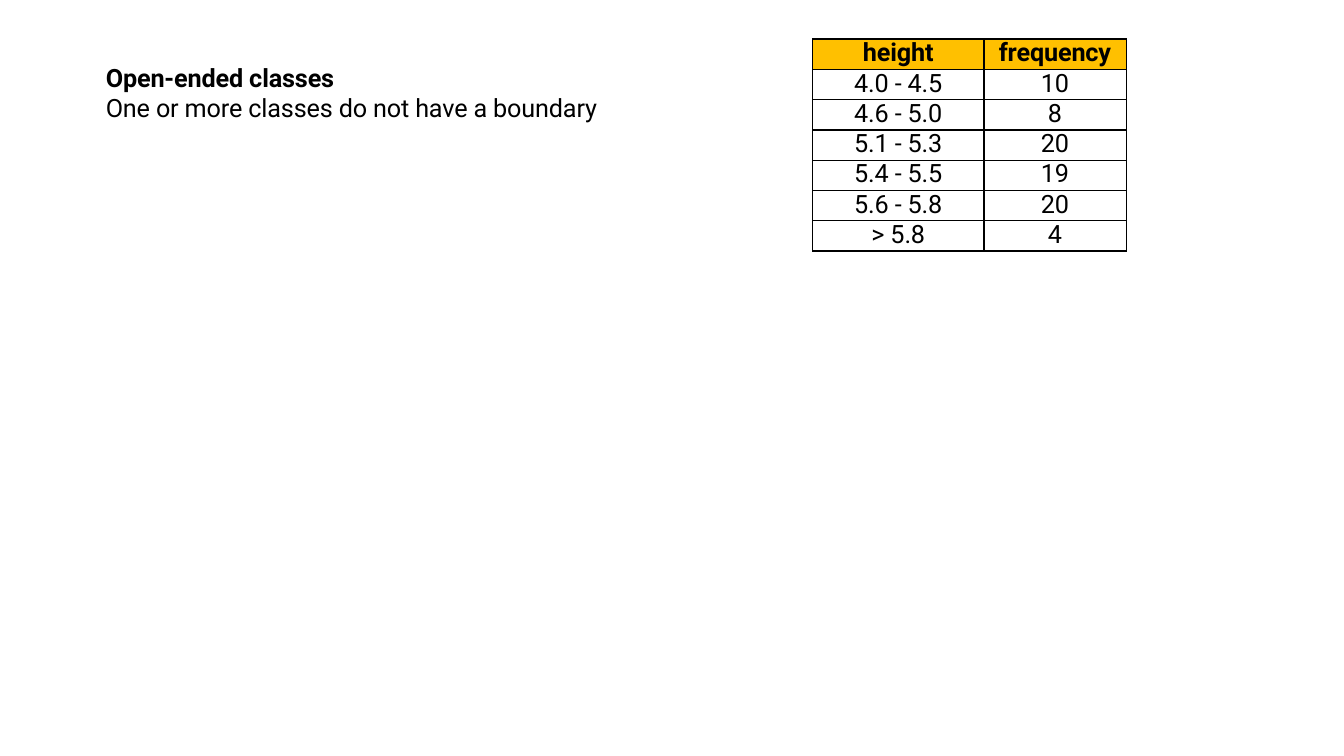
from lxml import etree
from pptx import Presentation
from pptx.dml.color import RGBColor
from pptx.enum.text import MSO_ANCHOR, MSO_AUTO_SIZE, PP_ALIGN
from pptx.oxml.ns import qn
from pptx.util import Inches, Pt

LEFT, CENTER = PP_ALIGN.LEFT, PP_ALIGN.CENTER
TOP, NO_FIT = MSO_ANCHOR.TOP, MSO_AUTO_SIZE.NONE
TITLE_ONLY = 5
BLACK, AMBER = "000000", "FFC000"

HEADING = "Open-ended classes"
EXPLANATION = "One or more classes do not have a boundary"
HEIGHT_CLASSES = [
    ("height", "frequency"),
    ("4.0 - 4.5", "10"),
    ("4.6 - 5.0", "8"),
    ("5.1 - 5.3", "20"),
    ("5.4 - 5.5", "19"),
    ("5.6 - 5.8", "20"),
    ("> 5.8", "4"),
]


def color(value):
    return RGBColor.from_string(value)


class SlideBuilder:
    """Holds the text style and the current slide; lengths are percentages of the slide."""

    def __init__(self, deck, font="Roboto", size=18):
        self.deck = deck
        self.font = font
        self.size = size
        self.page = deck.slides.add_slide(deck.slide_layouts[TITLE_ONLY])

    def across(self, share):
        return round(self.deck.slide_width * share / 100)

    def down(self, share):
        return round(self.deck.slide_height * share / 100)

    def format_paragraph(self, para, align, bold):
        para.alignment = align
        for span in para.runs:
            span.font.name = self.font
            span.font.size = Pt(self.size)
            span.font.bold = bold
            span.font.color.rgb = color(BLACK)
            span.font._element.set("spc", "-10")

    def heading(self, left, top, width, height, lines):
        box = self.page.shapes.title
        box.left, box.top = self.across(left), self.down(top)
        box.width, box.height = self.across(width), self.down(height)
        frame = box.text_frame
        frame.text = "\n".join(lines)
        frame.word_wrap = True
        frame.auto_size = NO_FIT
        frame.vertical_anchor = TOP
        frame.margin_left = frame.margin_top = Inches(0.01)
        frame.margin_right = frame.margin_bottom = 0
        for index, para in enumerate(frame.paragraphs):
            self.format_paragraph(para, LEFT, bold=index == 0)
        frame.paragraphs[0].space_before = Pt(1)

    def border(self, cell, top_width):
        properties = cell._tc.get_or_add_tcPr()
        widths = {"lnL": 1, "lnR": 1, "lnT": top_width, "lnB": 1}
        for position, (side, width) in enumerate(widths.items()):
            line = etree.Element(qn(f"a:{side}"), w=str(Pt(width)))
            fill = etree.SubElement(line, qn("a:solidFill"))
            etree.SubElement(fill, qn("a:srgbClr"), val=BLACK)
            properties.insert(position, line)

    def table(self, left, top, column_widths, row_height, rows):
        frame = self.page.shapes.add_table(
            len(rows), len(column_widths),
            self.across(left), self.down(top),
            self.across(sum(column_widths)), self.down(row_height * len(rows)),
        )
        grid = frame.table
        grid.first_row = grid.horz_banding = False
        for column, width in zip(grid.columns, column_widths):
            column.width = self.across(width)
        for row_index, values in enumerate(rows):
            grid.rows[row_index].height = self.down(row_height)
            for column_index, value in enumerate(values):
                self.fill_cell(grid.cell(row_index, column_index), value, row_index == 0)

    def fill_cell(self, cell, value, is_header):
        cell.margin_left = cell.margin_right = 0
        cell.margin_top = cell.margin_bottom = 0
        if is_header:
            cell.fill.solid()
            cell.fill.fore_color.rgb = color(AMBER)
        else:
            cell.fill.background()
        para = cell.text_frame.paragraphs[0]
        para.text = value
        para.line_spacing = Pt(20.6)
        self.format_paragraph(para, CENTER, bold=is_header)
        self.border(cell, top_width=1.5 if is_header else 1)


def main():
    deck = Presentation()
    deck.slide_width, deck.slide_height = Inches(13.33), Inches(7.5)
    builder = SlideBuilder(deck)
    builder.heading(7.8, 8.13, 37.8, 8.4, [HEADING, EXPLANATION])
    builder.table(60.46, 5.2, [12.75, 10.58], 4, HEIGHT_CLASSES)
    deck.save("out.pptx")


if __name__ == "__main__":
    main()
